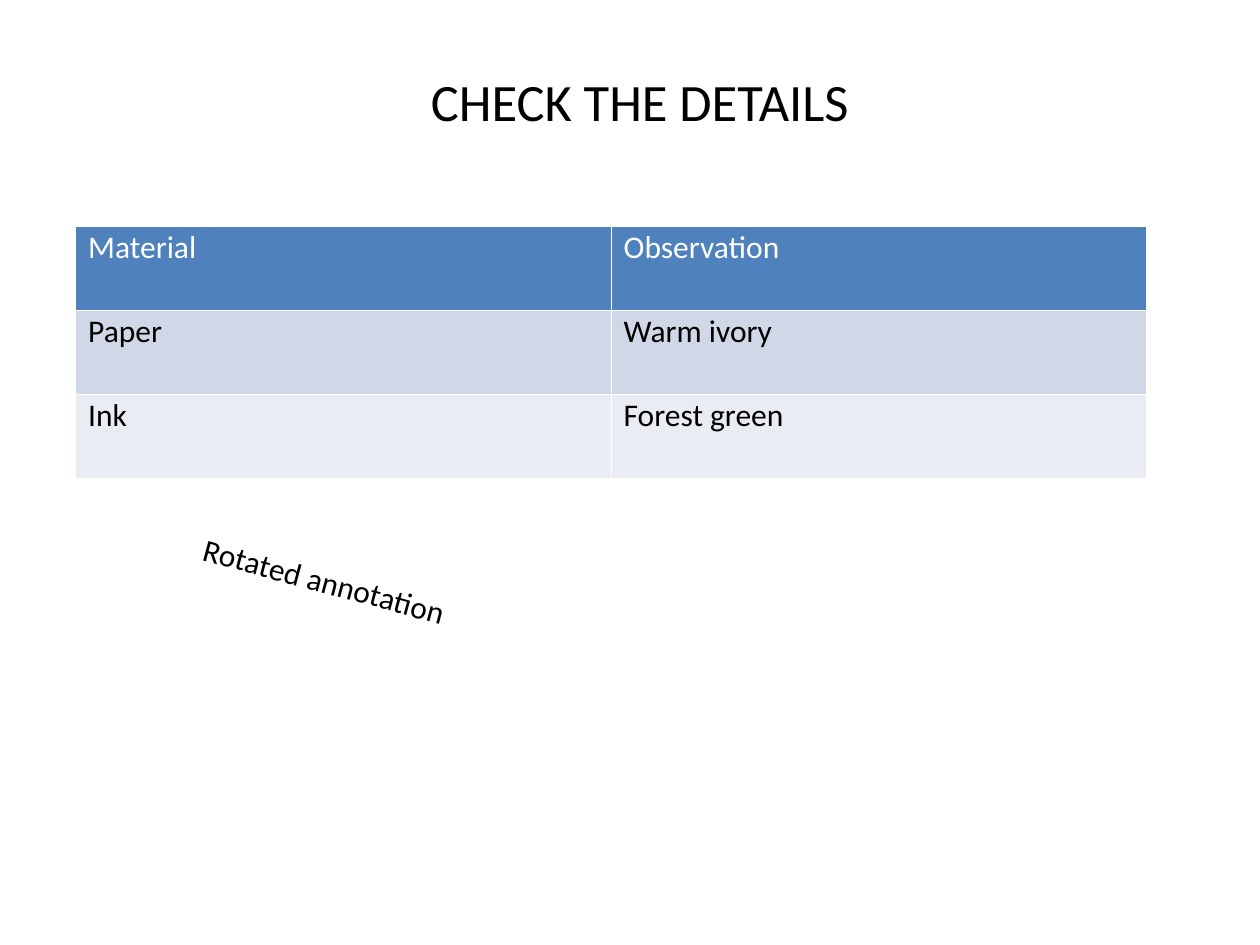
from lxml.etree import SubElement
from pptx import Presentation
from pptx.dml.color import RGBColor
from pptx.enum.text import MSO_ANCHOR, MSO_AUTO_SIZE, PP_ALIGN
from pptx.oxml.ns import qn
from pptx.util import Inches, Pt

COLORS = {
    "text": "000000",
    "border": "FFFFFF",
    "header_text": "FFFFFF",
    "header": "4F81BD",
    "odd_row": "D0D8E7",
    "even_row": "E9ECF3",
}
FONT = "Calibri"
ROWS = [
    ("Material", "Observation"),
    ("Paper", "Warm ivory"),
    ("Ink", "Forest green"),
]
ROW_FILLS = ["header", "odd_row", "even_row"]


def format_paragraph(paragraph, size, color):
    paragraph.alignment = PP_ALIGN.LEFT
    paragraph.space_before = paragraph.space_after = Pt(0)
    font = paragraph.font
    font.name = FONT
    font.size = Pt(size)
    font.bold = False
    font.color.rgb = RGBColor.from_string(COLORS[color])


def fill_text(shape, text, size):
    frame = shape.text_frame
    frame.text = text
    frame.word_wrap = False
    frame.auto_size = MSO_AUTO_SIZE.SHAPE_TO_FIT_TEXT
    frame.vertical_anchor = MSO_ANCHOR.TOP
    format_paragraph(frame.paragraphs[0], size, "text")


def add_title(slide, left, top, width, height):
    title = slide.shapes.title
    title.left, title.top = left, top
    title.width, title.height = width, height
    fill_text(title, "CHECK THE DETAILS", 30)


def set_borders(cell):
    properties = cell._tc.get_or_add_tcPr()
    for position, side in enumerate(("lnL", "lnR", "lnT", "lnB")):
        line = SubElement(properties, qn(f"a:{side}"), w=str(Pt(0.45)))
        fill = SubElement(line, qn("a:solidFill"))
        SubElement(fill, qn("a:srgbClr"), val=COLORS["border"])
        properties.insert(position, line)


def add_materials_table(slide, left, top, width, height):
    table = slide.shapes.add_table(
        len(ROWS), len(ROWS[0]), left, top, width, height
    ).table
    for row_index, (values, fill) in enumerate(zip(ROWS, ROW_FILLS)):
        text_color = "header_text" if fill == "header" else "text"
        for column_index, value in enumerate(values):
            cell = table.cell(row_index, column_index)
            cell.text = value
            cell.fill.solid()
            cell.fill.fore_color.rgb = RGBColor.from_string(COLORS[fill])
            set_borders(cell)
            paragraph = cell.text_frame.paragraphs[0]
            paragraph.line_spacing = 0.83
            format_paragraph(paragraph, 18, text_color)


def add_annotation(slide, left, top, width, height):
    annotation = slide.shapes.add_textbox(left, top, width, height)
    annotation.rotation = 15
    fill_text(annotation, "Rotated annotation", 18)


def main():
    presentation = Presentation()
    presentation.slide_width = Inches(10)
    presentation.slide_height = Inches(7.5)
    slide = presentation.slides.add_slide(presentation.slide_layouts[5])
    add_title(slide, Inches(3.32), Inches(0.5), Inches(3.55), Inches(0.6))
    add_materials_table(slide, Inches(0.6), Inches(1.8), Inches(8.5), Inches(2))
    add_annotation(slide, Inches(1.49), Inches(4.41), Inches(2.19), Inches(0.4))
    presentation.save("out.pptx")


if __name__ == "__main__":
    main()
